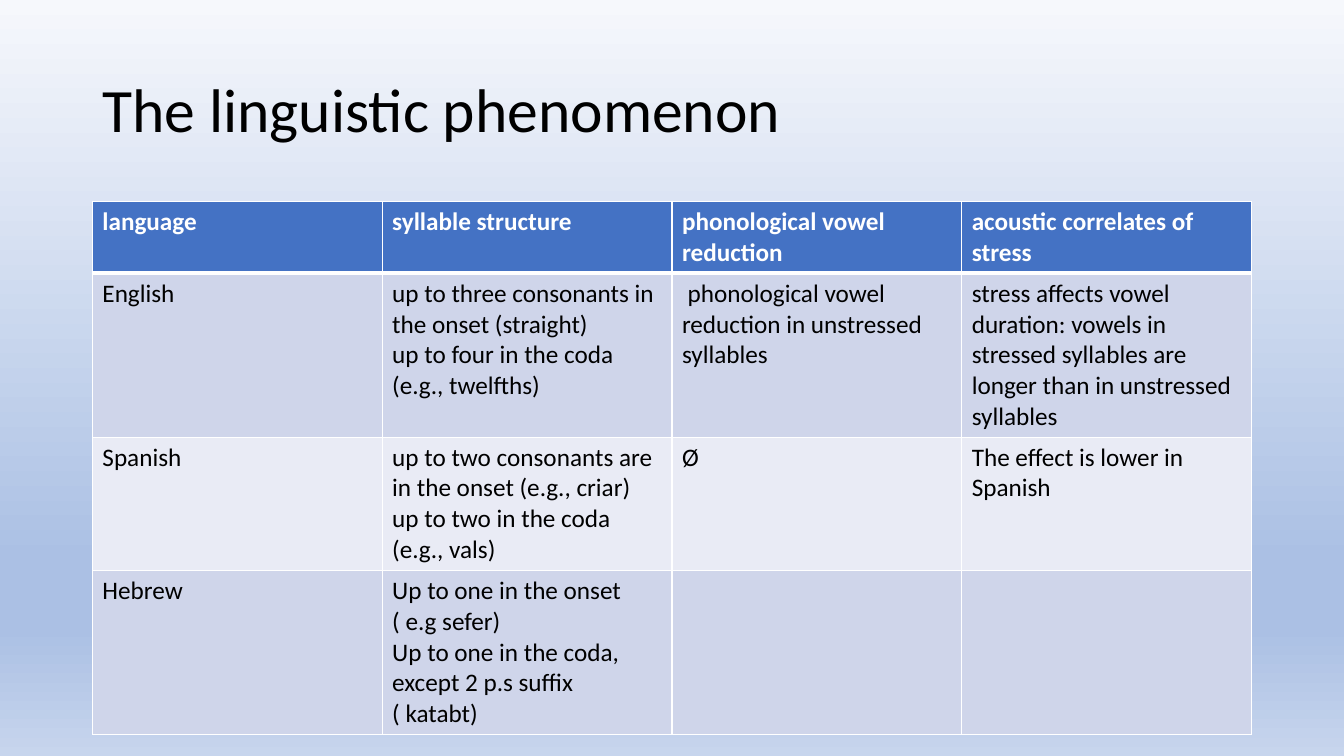
"""Build a slide with a table comparing stress and syllables in three languages."""
import copy

import pptx
import pptx.dml.color
import pptx.enum.text
import pptx.oxml
import pptx.oxml.ns
import pptx.util

PX = 9525
FONT = "Calibri"
STOPS = [(0, "F6F8FC"), (0.74, "ABC0E4"), (0.83, "ABC0E4"), (1, "C7D5ED")]
HEADER_FILL = "4472C4"
BAND_FILLS = ["CFD5EA", "E9EBF5"]
COLUMN_WIDTH = 276
ROW_HEIGHTS = [67, 156, 127, 156]
ROWS = [
    ["language", "syllable structure", "phonological vowel reduction",
     "acoustic correlates of stress"],
    ["English",
     "up to three consonants in the onset (straight)\n"
     "up to four in the coda (e.g., twelfths)",
     " phonological vowel reduction in unstressed syllables",
     "stress affects vowel duration: vowels in stressed syllables are "
     "longer than in unstressed syllables"],
    ["Spanish",
     "up to two consonants are in the onset (e.g., criar) "
     "up to two in the coda (e.g., vals)",
     "Ø", "The effect is lower in Spanish"],
    ["Hebrew",
     "Up to one in the onset ( e.g sefer)\n"
     "Up to one in the coda, except 2 p.s suffix ( katabt)",
     "", ""],
]


def px(n):
    return pptx.util.Emu(n * PX)


def rgb(color):
    return pptx.dml.color.RGBColor.from_string(color)


def format_text(tf, size, color, bold=False):
    for p in tf.paragraphs:
        for r in p.runs:
            r.font.name = FONT
            r.font.size = pptx.util.Pt(size)
            r.font.bold = bold
            r.font.color.rgb = rgb(color)


def set_background(s):
    fill = s.background.fill
    fill.gradient()
    fill.gradient_angle = 270
    gs_list = s.element.find(".//" + pptx.oxml.ns.qn("a:gsLst"))
    while len(gs_list) < len(STOPS):
        gs_list.append(copy.deepcopy(gs_list[0]))
    for stop, (position, color) in zip(fill.gradient_stops, STOPS):
        stop.position = position
        stop.color.rgb = rgb(color)


def set_title(s, text, left, top, width, height):
    sp = s.shapes.title
    sp.left, sp.top, sp.width, sp.height = map(px, (left, top, width, height))
    tf = sp.text_frame
    tf.text = text
    tf.word_wrap = True
    tf.vertical_anchor = pptx.enum.text.MSO_ANCHOR.MIDDLE
    p = tf.paragraphs[0]
    p.alignment = pptx.enum.text.PP_ALIGN.LEFT
    p.line_spacing = 0.9
    format_text(tf, 44, "000000")


def set_borders(cell, bottom):
    tc_pr = cell._tc.get_or_add_tcPr()
    widths = {"lnL": 1, "lnR": 1, "lnT": 1, "lnB": bottom}
    for i, (side, width) in enumerate(widths.items()):
        tc_pr.insert(i, pptx.oxml.parse_xml(
            f'<a:{side} {pptx.oxml.ns.nsdecls("a")} w="{pptx.util.Pt(width)}">'
            f'<a:solidFill><a:srgbClr val="FFFFFF"/></a:solidFill></a:{side}>'))


def fill_cell(cell, text, is_header, color):
    cell.text = text
    format_text(cell.text_frame, 18, "FFFFFF" if is_header else "000000", is_header)
    cell.fill.solid()
    cell.fill.fore_color.rgb = rgb(color)
    set_borders(cell, 3 if is_header else 1)


def add_language_table(s, left, top):
    columns = len(ROWS[0])
    table = s.shapes.add_table(
        len(ROWS), columns, px(left), px(top),
        px(COLUMN_WIDTH * columns), px(sum(ROW_HEIGHTS))).table
    for column in table.columns:
        column.width = px(COLUMN_WIDTH)
    for i, (row, height) in enumerate(zip(ROWS, ROW_HEIGHTS)):
        table.rows[i].height = px(height)
        color = BAND_FILLS[(i - 1) % 2] if i else HEADER_FILL
        for j, text in enumerate(row):
            fill_cell(table.cell(i, j), text, i == 0, color)


def main():
    prs = pptx.Presentation()
    prs.slide_width, prs.slide_height = px(1280), px(720)
    s = prs.slides.add_slide(prs.slide_layouts[5])
    set_background(s)
    set_title(s, "The linguistic phenomenon", 88, 38, 1104, 139)
    add_language_table(s, 88, 192)
    prs.save("out.pptx")


if __name__ == "__main__":
    main()
